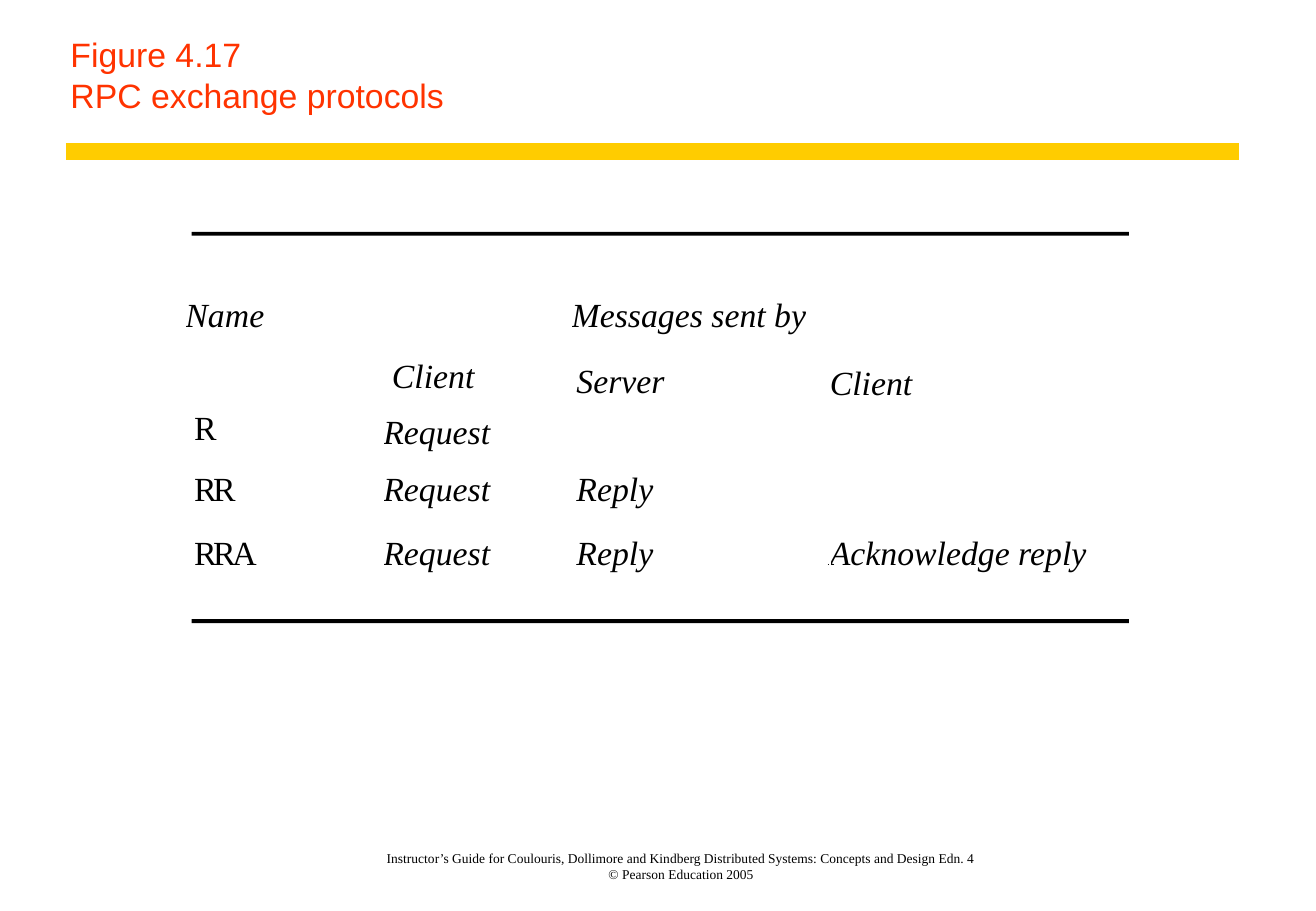
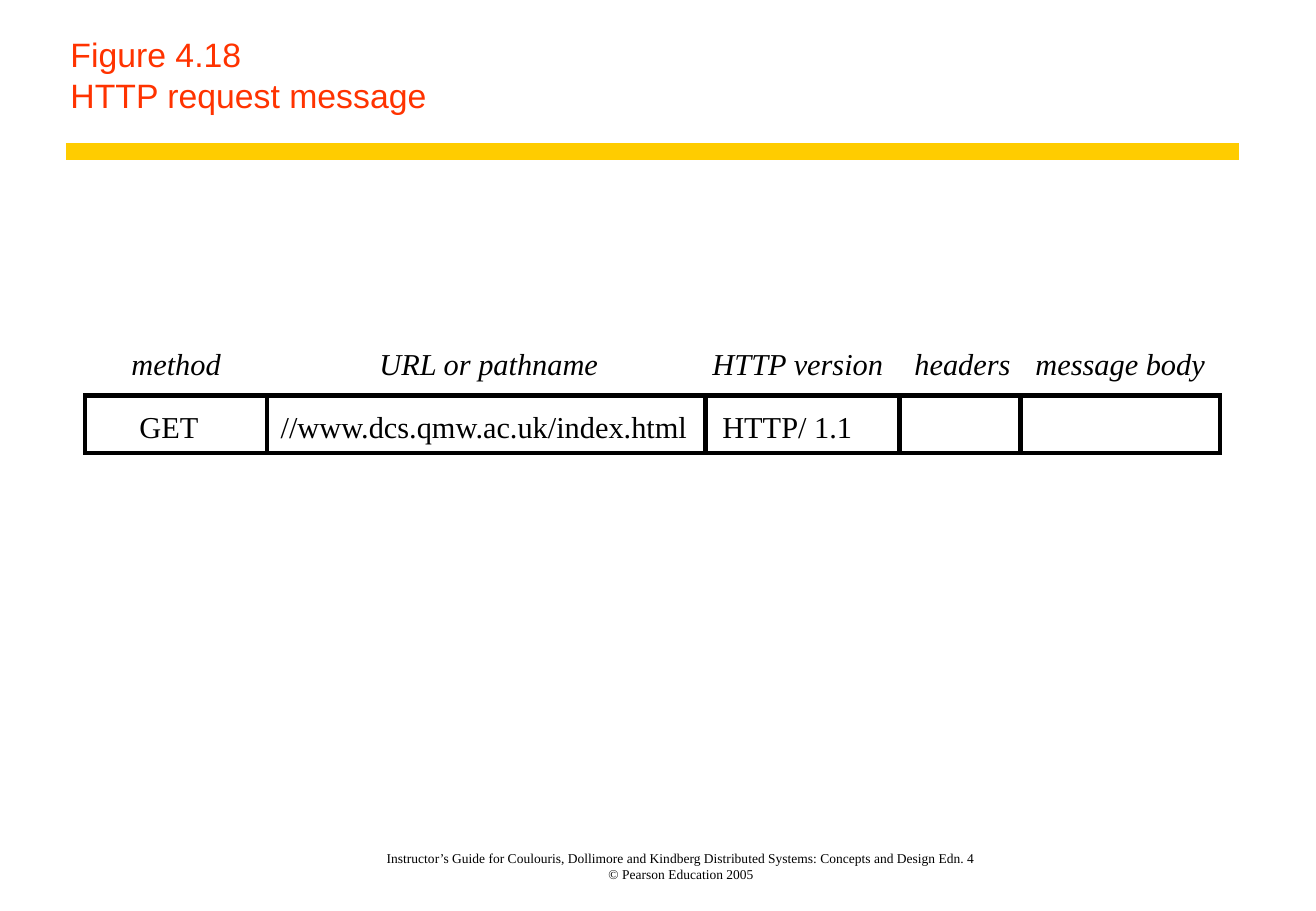
from lxml import etree
from pptx import Presentation
from pptx.dml.color import RGBColor
from pptx.enum.shapes import MSO_CONNECTOR, MSO_SHAPE
from pptx.enum.text import MSO_ANCHOR, MSO_AUTO_SIZE, PP_ALIGN
from pptx.oxml.ns import qn
from pptx.util import Cm, Pt

STRAIGHT = MSO_CONNECTOR.STRAIGHT
RECTANGLE = MSO_SHAPE.RECTANGLE
TOP, BOTTOM = MSO_ANCHOR.TOP, MSO_ANCHOR.BOTTOM
LEFT, CENTER = PP_ALIGN.LEFT, PP_ALIGN.CENTER
NO_AUTOFIT = MSO_AUTO_SIZE.NONE

RED = RGBColor(0xFF, 0x33, 0x00)
YELLOW = RGBColor(0xFF, 0xCC, 0x00)
BLACK = RGBColor(0x00, 0x00, 0x00)
SANS, SERIF = "Arial", "Times New Roman"
TITLE_ONLY = 5

TITLE_FONT = {"name": SANS, "size": Pt(20), "bold": False}
FOOTER_FONT = {"name": SERIF, "size": Pt(8)}
TABLE_FONT = {"name": SERIF, "size": Pt(20), "bold": False}
FIELD_FONT = {"name": SERIF, "size": Pt(18)}

FOOTER = (
    "Instructor’s Guide for Coulouris, Dollimore and Kindberg "
    "Distributed Systems: Concepts and Design Edn. 4\v"
    "© Pearson Education 2005"
)

PROTOCOL_BOX = (4.01, 4.85, 19.61, 8.18)
RULE_HEIGHT = 0.08
TABLE_OFFSET = (-0.13, 0.11)
PROTOCOL_COLUMNS = (4.14, 3.94, 5.4, 6.25)
PROTOCOL_ROWS = (2.53, 1.09, 1.28, 1.34, 1.8)
PROTOCOLS = (
    ("Name", "", "Messages sent by", ""),
    ("", "Client", "Server", "Client"),
    ("R", "Request", "", ""),
    ("RR", "Request", "Reply", ""),
    ("RRA", "Request", "Reply", "Acknowledge reply"),
)
HEADING_ROWS = 2
COLUMN_INDENTS = (0.18, 0, 0.1, 0)
HEADING_INDENTS = {(0, 0): 0, (0, 2): 0, (1, 1): 0.18}
CELL_DROPS = {(1, 2): 0.1, (1, 3): 0.15, (2, 1): 0.08}
HEADING_DROP = 1.26

MESSAGE_BOX = (1.78, 8.27, 1.2)
MESSAGE_FIELDS = (
    ("method", 0, "GET", -0.15, 3.81),
    ("URL or pathname", 0.05, "//www.dcs.qmw.ac.uk/index.html", -0.05, 9.17),
    ("HTTP version", -0.1, "HTTP/ 1.1", -0.32, 4.06),
    ("headers", 0.05, "", 0, 2.53),
    ("message body", 0, "", 0, 4.17),
)


def set_font(paragraph, font_values, color=BLACK, italic=False):
    """Apply the font values, colour and slant to a paragraph."""
    for attribute, value in font_values.items():
        setattr(paragraph.font, attribute, value)
    paragraph.font.color.rgb = color
    paragraph.font.italic = italic


def add_line(slide, start, end, color, width):
    """Draw a straight line without a shadow between two points in cm."""
    line = slide.shapes.add_connector(STRAIGHT, *map(Cm, (*start, *end)))
    line.line.color.rgb = color
    line.line.width = Pt(width)
    etree.SubElement(line.element.spPr, qn("a:effectLst"))
    return line


def add_text(slide, box, text, font_values, italic=False, anchor=TOP):
    """Place centred text without insets in a box given in cm."""
    label = slide.shapes.add_textbox(*map(Cm, box))
    frame = label.text_frame
    frame_format = {
        "word_wrap": True, "vertical_anchor": anchor, "margin_left": 0,
        "margin_right": 0, "margin_top": 0, "margin_bottom": 0,
    }
    for attribute, value in frame_format.items():
        setattr(frame, attribute, value)
    frame.text = text
    paragraph = frame.paragraphs[0]
    paragraph.alignment = CENTER
    set_font(paragraph, font_values, italic=italic)
    return label


def furnish_layout(layout, slide):
    """Move the shared band and footer from a slide to its layout."""
    band = add_line(slide, (1.38, 3.17), (25.91, 3.17), YELLOW, 10)
    footer = add_text(slide, (5.88, 17.8, 16.74, 0.65), FOOTER, FOOTER_FONT,
                      anchor=BOTTOM)
    for part in (band, footer):
        layout.shapes.element.append(part.element)


def set_title(slide, text):
    """Fill, move and format the title placeholder."""
    title = slide.shapes.title
    title.left, title.top, title.width, title.height = map(
        Cm, (1.22, 0.63, 24.69, 1.9))
    frame = title.text_frame
    frame.auto_size = NO_AUTOFIT
    frame.vertical_anchor = BOTTOM
    frame.text = text
    paragraph = frame.paragraphs[0]
    paragraph.alignment = LEFT
    set_font(paragraph, TITLE_FONT, RED)


def fill_cell(cell, text, row, column):
    """Write one entry of the protocol table."""
    indent = HEADING_INDENTS.get((row, column), COLUMN_INDENTS[column])
    drop = CELL_DROPS.get((row, column), 0 if row else HEADING_DROP)
    cell_format = {
        "margin_left": Cm(indent), "margin_top": Cm(drop),
        "margin_right": 0, "margin_bottom": 0, "vertical_anchor": TOP,
    }
    for attribute, value in cell_format.items():
        setattr(cell, attribute, value)
    cell.fill.background()
    cell.text = text
    paragraph = cell.text_frame.paragraphs[0]
    is_name = column == 0 and row >= HEADING_ROWS
    set_font(paragraph, TABLE_FONT, italic=not is_name)
    if is_name:
        for run in paragraph.runs:
            run.font._element.set("spc", "-200")


def add_protocol_table(slide, box):
    """Draw the table of protocols between two rules."""
    left, top, width, height = box
    offset_x, offset_y = TABLE_OFFSET
    table_box = (left + offset_x, top + offset_y,
                 sum(PROTOCOL_COLUMNS), sum(PROTOCOL_ROWS))
    table = slide.shapes.add_table(
        len(PROTOCOLS), len(PROTOCOL_COLUMNS), *map(Cm, table_box)).table
    table.first_row = table.horz_banding = False
    for column, column_width in zip(table.columns, PROTOCOL_COLUMNS):
        column.width = Cm(column_width)
    for row, row_height in zip(table.rows, PROTOCOL_ROWS):
        row.height = Cm(row_height)
    for r, texts in enumerate(PROTOCOLS):
        for c, text in enumerate(texts):
            fill_cell(table.cell(r, c), text, r, c)
    for rule_top in (top, top + height - RULE_HEIGHT):
        rule = slide.shapes.add_shape(
            RECTANGLE, *map(Cm, (left, rule_top, width, RULE_HEIGHT)))
        rule.shadow.inherit = False
        rule.fill.solid()
        rule.fill.fore_color.rgb = BLACK
        rule.line.fill.background()


def add_request_message(slide, box):
    """Draw the framed message fields with a label above each."""
    left, top, height = box
    total = sum(field[-1] for field in MESSAGE_FIELDS)
    frame = slide.shapes.add_shape(
        RECTANGLE, *map(Cm, (left, top, total, height)))
    frame.shadow.inherit = False
    frame.fill.background()
    frame.line.color.rgb = BLACK
    frame.line.width = Pt(2.64)
    etree.SubElement(frame.element.spPr.find(qn("a:ln")), qn("a:miter"),
                     lim="800000")
    edge = left
    for label, label_shift, value, value_shift, width in MESSAGE_FIELDS:
        if edge > left:
            add_line(slide, (edge, top), (edge, top + height), BLACK, 2.64)
        add_text(slide, (edge + label_shift, top - 1.06, width, 0.76), label,
                 FIELD_FONT, italic=True)
        if value:
            add_text(slide, (edge + value_shift, top + 0.26, width, 0.76),
                     value, FIELD_FONT)
        edge += width


def main():
    """Build and save the presentation."""
    deck = Presentation()
    deck.slide_width, deck.slide_height = Cm(27.53), Cm(19.05)
    layout = deck.slide_layouts[TITLE_ONLY]
    figures = (
        ("Figure 4.17\vRPC exchange protocols", add_protocol_table,
         PROTOCOL_BOX),
        ("Figure 4.18\vHTTP request message", add_request_message,
         MESSAGE_BOX),
    )
    for number, (title, add_figure, box) in enumerate(figures):
        slide = deck.slides.add_slide(layout)
        if number == 0:
            furnish_layout(layout, slide)
        set_title(slide, title)
        add_figure(slide, box)
    deck.save("out.pptx")


if __name__ == "__main__":
    main()
